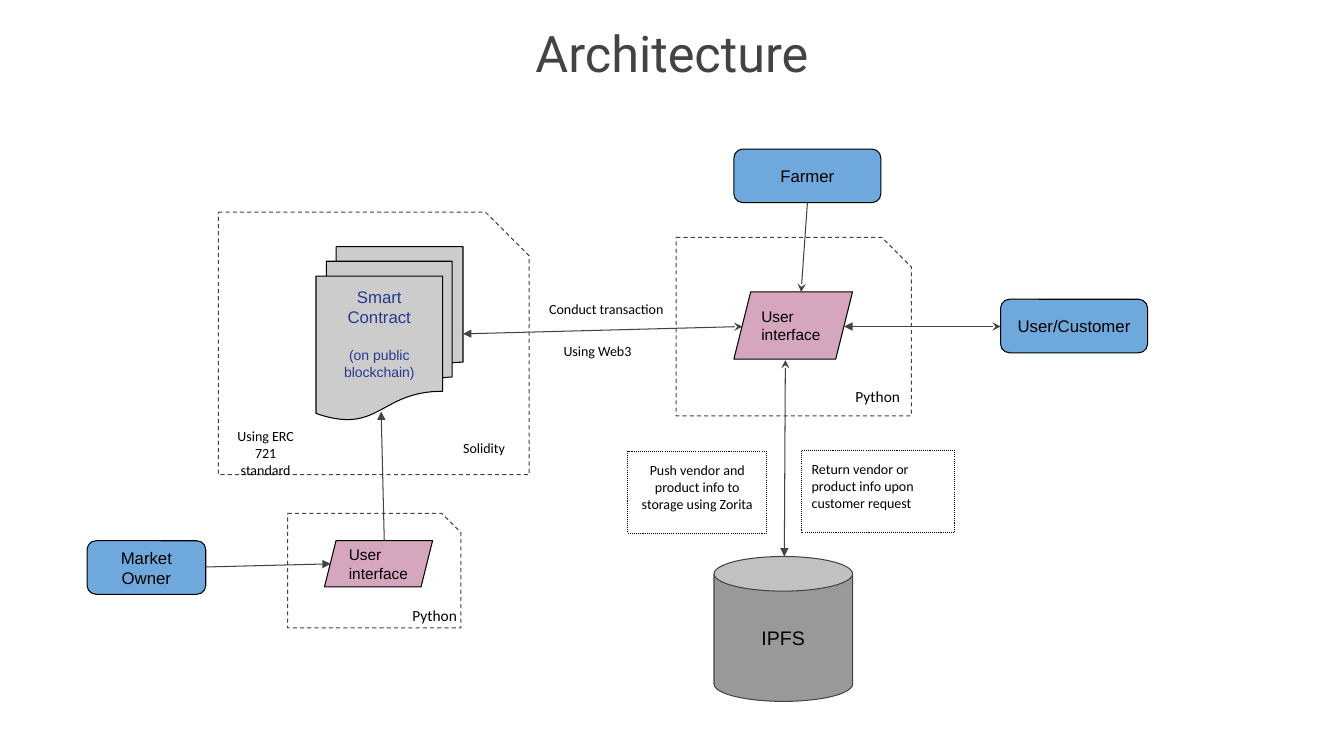
from dataclasses import dataclass

from lxml import etree
from pptx import Presentation
from pptx.dml.color import RGBColor
from pptx.enum.dml import MSO_LINE
from pptx.enum.shapes import MSO_CONNECTOR, MSO_SHAPE
from pptx.enum.text import MSO_ANCHOR, PP_ALIGN
from pptx.oxml.ns import qn
from pptx.util import Emu, Pt

PX = 9525  # EMU per px, 96 px to the inch
ROUND, CAN = MSO_SHAPE.ROUNDED_RECTANGLE, MSO_SHAPE.CAN
DOCS, SNIP = MSO_SHAPE.FLOWCHART_MULTIDOCUMENT, MSO_SHAPE.SNIP_1_RECTANGLE
SKEW, RECT = MSO_SHAPE.PARALLELOGRAM, MSO_SHAPE.RECTANGLE
DASH, DOT = MSO_LINE.DASH, MSO_LINE.ROUND_DOT
LEFT, CENTER = PP_ALIGN.LEFT, PP_ALIGN.CENTER
TOP, MIDDLE = MSO_ANCHOR.TOP, MSO_ANCHOR.MIDDLE
STRAIGHT = MSO_CONNECTOR.STRAIGHT
COLORS = {"black": "000000", "grey": "434343", "blue": "6FA8DC", "pink": "D5A6BD",
          "can": "999999", "docs": "CCCCCC", "navy": "2A3990"}
Box = tuple[int, int, int, int]


@dataclass
class Text:
    lines: tuple[str, ...]
    size: float = 10
    font: str = "Calibri"
    color: str = "black"
    align: PP_ALIGN = CENTER
    anchor: MSO_ANCHOR = TOP
    margin_y: int = 10


@dataclass
class Node:
    kind: MSO_SHAPE
    box: Box
    fill: str | None = None
    line: str = "black"
    dash: MSO_LINE | None = None
    text: Text | None = None


@dataclass
class Label:
    box: Box
    text: Text


@dataclass
class Arrow:
    start: tuple[int, int]
    end: tuple[int, int]
    head: str | None = None
    tail: str | None = "triangle"


def rgb(name: str) -> RGBColor:
    return RGBColor.from_string(COLORS[name])


def set_all(target, values: dict) -> None:
    for name, value in values.items():
        setattr(target, name, value)


def write(sp, text: Text):
    tf = sp.text_frame
    set_all(tf, {"word_wrap": True, "vertical_anchor": text.anchor,
                 "margin_left": 10 * PX, "margin_right": 10 * PX,
                 "margin_top": text.margin_y * PX, "margin_bottom": text.margin_y * PX})
    for i, line in enumerate(text.lines):
        p = tf.add_paragraph() if i else tf.paragraphs[0]
        p.alignment = text.align
        r = p.add_run()
        r.text = line
        set_all(r.font, {"name": text.font, "size": Pt(text.size)})
        r.font.color.rgb = rgb(text.color)
    return tf


def add_node(s, node: Node):
    sp = s.shapes.add_shape(node.kind, *(Emu(v * PX) for v in node.box))
    sp.shadow.inherit = False
    if node.fill:
        sp.fill.solid()
        sp.fill.fore_color.rgb = rgb(node.fill)
    else:
        sp.fill.background()
    sp.line.color.rgb = rgb(node.line)
    set_all(sp.line, {"width": Pt(0.75), "dash_style": node.dash})
    if node.text:
        write(sp, node.text)
    return sp


def add_label(s, label: Label):
    sp = s.shapes.add_textbox(*(Emu(v * PX) for v in label.box))
    return write(sp, label.text)


def add_arrow(s, arrow: Arrow) -> None:
    cx = s.shapes.add_connector(STRAIGHT, *(Emu(v * PX) for v in arrow.start + arrow.end))
    cx.line.color.rgb = rgb("grey")
    cx.line.width = Pt(0.75)
    ln = cx.line._get_or_add_ln()
    for tag, kind in (("a:headEnd", arrow.head), ("a:tailEnd", arrow.tail)):
        if kind:
            etree.SubElement(ln, qn(tag), type=kind)
    etree.SubElement(cx._element.spPr, qn("a:effectLst"))


def actor(name: str, x: int, y: int, w: int = 140) -> Node:
    return Node(ROUND, (x, y, w, 51), "blue",
                text=Text((name,), 12, "Arial", anchor=MIDDLE))


def interface(box: Box) -> Node:
    return Node(SKEW, box, "pink",
                text=Text(("User interface",), 11, "Arial", align=LEFT, anchor=MIDDLE))


def frame(box: Box) -> Node:
    return Node(SNIP, box, line="grey", dash=DASH)


def note(box: Box, words: str, align: PP_ALIGN) -> Node:
    return Node(RECT, box, dash=DOT, text=Text((words,), align=align))


TITLE = Label((482, 23, 316, 64), Text(("Architecture",), 36, "Roboto", "grey", margin_y=5))
CONTRACT = Node(DOCS, (301, 235, 140, 165), "docs",
                text=Text(("Smart Contract", "(on public blockchain)"), 12, "Arial", "navy"))
NODES = [
    frame((208, 202, 296, 250)),
    frame((644, 226, 224, 170)),
    frame((274, 489, 165, 109)),
    actor("Farmer", 699, 142),
    actor("User/Customer", 953, 285),
    actor("Market Owner", 83, 515, 113),
    Node(CAN, (680, 530, 132, 138), "can", "grey",
         text=Text(("IPFS",), 14, "Arial", anchor=MIDDLE)),
    interface((699, 278, 113, 64)),
    interface((309, 515, 103, 44)),
    note((598, 430, 132, 78), "Push vendor and product info to storage using Zorita", CENTER),
    note((763, 429, 146, 78), "Return vendor or product info upon customer request", LEFT),
]
LABELS = [
    Label((416, 411, 90, 38), Text(("Solidity",))),
    Label((208, 397, 90, 51), Text(("Using ERC 721 standard",))),
    Label((513, 278, 146, 34), Text(("Conduct transaction",), align=LEFT)),
    Label((524, 318, 90, 51), Text(("Using Web3",))),
    Label((775, 360, 122, 36), Text(("Python",), 11)),
    Label((369, 568, 90, 23), Text(("Python",), 11)),
]
ARROWS = [
    Arrow((763, 278), (769, 193), "stealth", None),
    Arrow((953, 311), (804, 311), "stealth"),
    Arrow((707, 311), (441, 318), "stealth"),
    Arrow((748, 343), (747, 530), "stealth"),
    Arrow((196, 540), (315, 537)),
    Arrow((366, 515), (363, 392)),
]


def main() -> None:
    prs = Presentation()
    set_all(prs, {"slide_width": Emu(1280 * PX), "slide_height": Emu(720 * PX)})
    s = prs.slides.add_slide(prs.slide_layouts[6])

    # Title
    add_label(s, TITLE).paragraphs[0].line_spacing = 0.9

    # Frames, actors, interfaces, storage and notes
    for node in NODES:
        add_node(s, node)

    # Smart contract, with a smaller second paragraph set apart
    p = add_node(s, CONTRACT).text_frame.paragraphs[1]
    p.space_before = Pt(14)
    p.runs[0].font.size = Pt(10)

    # Captions and arrows
    for label in LABELS:
        add_label(s, label)
    for arrow in ARROWS:
        add_arrow(s, arrow)

    prs.save("out.pptx")


if __name__ == "__main__":
    main()
